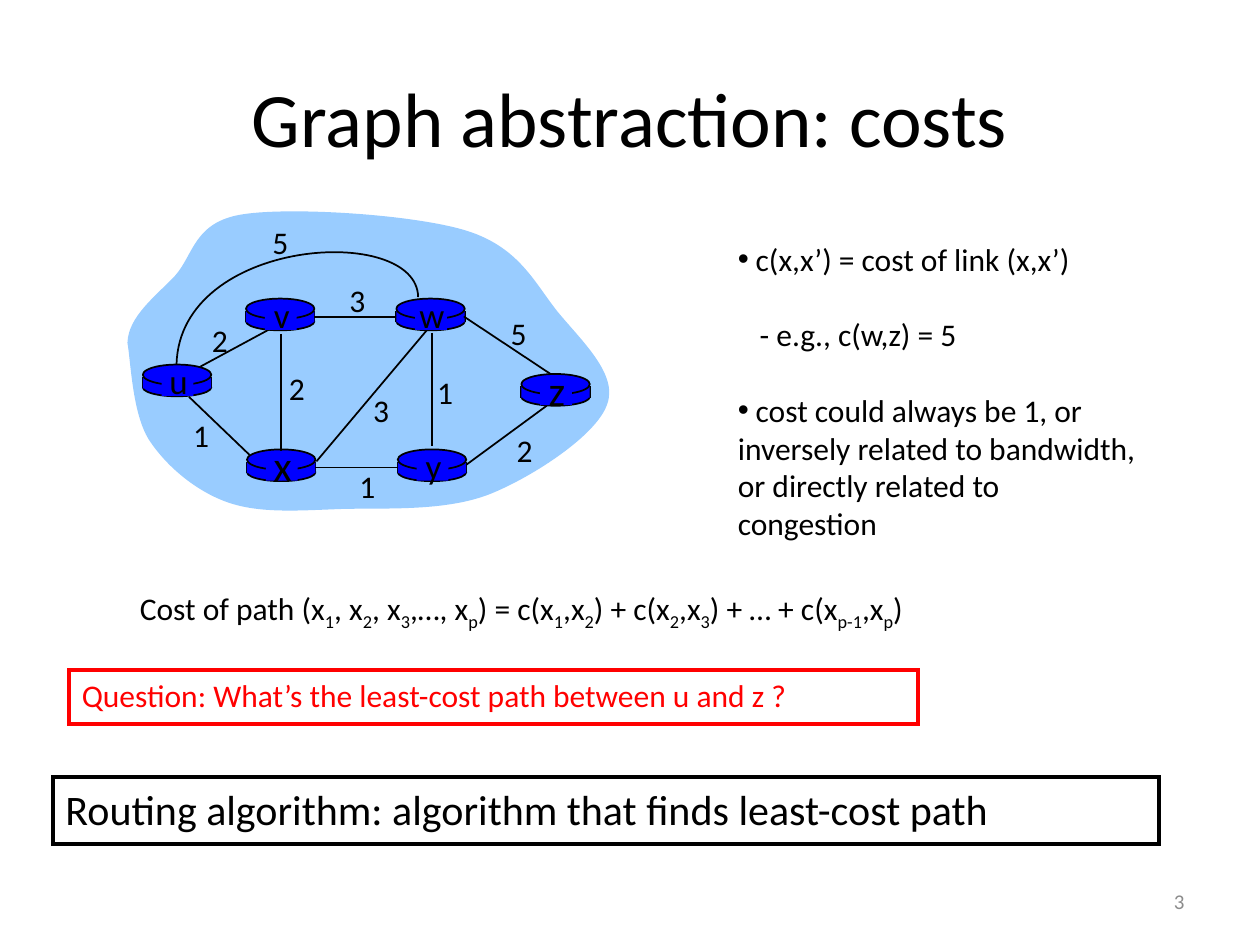
from lxml import etree
from pptx import Presentation
from pptx.dml.color import RGBColor
from pptx.enum.shapes import MSO_CONNECTOR, MSO_SHAPE
from pptx.enum.text import MSO_ANCHOR, MSO_AUTO_SIZE, PP_ALIGN
from pptx.oxml.ns import qn
from pptx.util import Cm, Pt

STRAIGHT = MSO_CONNECTOR.STRAIGHT
RECTANGLE, OVAL = MSO_SHAPE.RECTANGLE, MSO_SHAPE.OVAL
TOP, MIDDLE = MSO_ANCHOR.TOP, MSO_ANCHOR.MIDDLE
LEFT, CENTER, RIGHT = PP_ALIGN.LEFT, PP_ALIGN.CENTER, PP_ALIGN.RIGHT
NO_AUTOFIT = MSO_AUTO_SIZE.NONE
color = RGBColor.from_string
BLACK, BLUE, SKY, RED, GRAY = "000000", "0000FF", "99CCFF", "FF0000", "8C8C8C"


def write(box, text, size=18, ink=BLACK, align=LEFT, anchor=TOP, wrap=True):
    frame = box.text_frame
    frame.auto_size = NO_AUTOFIT
    frame.word_wrap = wrap
    frame.vertical_anchor = anchor
    para = frame.add_paragraph() if frame.text else frame.paragraphs[0]
    para.alignment = align
    for number, piece in enumerate(text.split("|")):
        span = para.add_run()
        span.text = piece
        span.font.name = "Calibri"
        span.font.size = Pt(size)
        span.font.color.rgb = color(ink)
        if number % 2:
            span._r.get_or_add_rPr().set("baseline", "-25000")
    return para


def draw_curve(shapes, points, closed):
    corners = [(Cm(x), Cm(y)) for x, y in points]
    builder = shapes.build_freeform(*corners[0])
    builder.add_line_segments(corners[1:], close=closed)
    curve = builder.convert_to_shape()
    curve.shadow.inherit = False
    segments = list(curve.element.iter(qn("a:lnTo")))
    for start in range(0, len(segments), 3):
        bend = etree.Element(qn("a:cubicBezTo"))
        segments[start].addprevious(bend)
        for segment in segments[start:start + 3]:
            bend.append(segment[0])
            segment.getparent().remove(segment)
    return curve


deck = Presentation()
deck.slide_width, deck.slide_height = Cm(25.4), Cm(19.05)
page = deck.slides.add_slide(deck.slide_layouts[1])

title = page.shapes.title
title.left, title.top, title.width, title.height = Cm(1.27), Cm(0.76), Cm(22.86), Cm(3.18)
write(title, "Graph abstraction: costs", size=44, align=CENTER, anchor=MIDDLE)

graph = page.shapes.add_group_shape().shapes
cloud = draw_curve(graph, [
    (2.57, 6.91), (2.59, 6.38), (3.12, 5.99), (3.53, 5.56),
    (3.91, 5.13), (3.91, 4.47), (4.9, 4.32),
    (5.87, 4.17), (8.33, 4.32), (9.4, 4.65),
    (10.46, 4.98), (10.77, 5.69), (11.23, 6.27),
    (11.71, 6.86), (12.47, 7.54), (12.24, 8.15),
    (12.04, 8.76), (10.77, 9.6), (9.88, 9.96),
    (8.99, 10.31), (7.82, 10.24), (6.93, 10.26),
    (6.07, 10.29), (5.26, 10.36), (4.6, 10.13),
    (3.96, 9.91), (3.35, 9.4), (3, 8.86),
    (2.67, 8.33), (2.64, 7.32), (2.57, 6.91)], True)
cloud.fill.solid()
cloud.fill.fore_color.rgb = color(SKY)
cloud.line.fill.background()

graph.add_connector(STRAIGHT, Cm(4.04), Cm(7.39), Cm(5.54), Cm(6.58))

routers = {"u": (2.88, 7.35, 20), "x": (4.98, 9.06, 24), "v": (4.96, 6.02, 20),
           "w": (7.99, 6.02, 20), "y": (8.02, 9.06, 20), "z": (10.51, 7.54, 24)}
router_width = 1.38
bodies = {}
for name, (left, top, size) in routers.items():
    base = graph.add_shape(OVAL, Cm(left), Cm(top + 0.28), Cm(router_width), Cm(0.36))
    for side in (left, left + router_width):
        graph.add_connector(STRAIGHT, Cm(side), Cm(top + 0.25), Cm(side), Cm(top + 0.48))
    body = graph.add_shape(RECTANGLE, Cm(left), Cm(top + 0.25), Cm(router_width), Cm(0.23))
    lid = graph.add_shape(OVAL, Cm(left), Cm(top), Cm(router_width), Cm(0.41))
    for part in (base, body, lid):
        part.shadow.inherit = False
        part.fill.solid()
        part.fill.fore_color.rgb = color(BLUE)
        part.line.color.rgb = color(BLACK)
        part.line.width = Pt(1)
    body.line.fill.background()
    bodies[name] = body

links = [(8.71, 6.71, 8.71, 8.99), (5.66, 6.73, 5.66, 9.09), (6.38, 9.3, 8.61, 6.65),
         (9.4, 9.37, 11.02, 8.18), (5.03, 9.17, 3.81, 8), (11.1, 7.54, 9.35, 6.38)]
for ends in links:
    graph.add_connector(STRAIGHT, *[Cm(end) for end in ends])
for first, second in ("vw", "xy"):
    link = graph.add_connector(STRAIGHT, 0, 0, 0, 0)
    link.begin_connect(bodies[first], 3)
    link.end_connect(bodies[second], 1)

arc = draw_curve(graph, [(8.43, 5.99), (8.41, 4.5), (3.63, 4.78), (3.56, 7.34)], False)
arc.fill.background()
arc.line.color.rgb = color(BLACK)
arc.line.width = Pt(1)

for link in graph:
    if link.element.tag == qn("p:cxnSp"):
        link.line.color.rgb = color(BLACK)
        link.line.width = Pt(1)
        etree.SubElement(link.element.spPr, qn("a:effectLst"))

for name, (left, top, size) in routers.items():
    patch = graph.add_shape(RECTANGLE, Cm(left + 0.38), Cm(top + 0.05), Cm(0.64), Cm(0.58))
    patch.shadow.inherit = False
    patch.fill.solid()
    patch.fill.fore_color.rgb = color(BLUE)
    patch.line.fill.background()
    height = 1.09 if size == 20 else 1.27
    letter = graph.add_textbox(Cm(left + 0.22), Cm(top + 0.32 - height / 2), Cm(1), Cm(height))
    write(letter, name, size=size, align=CENTER, wrap=False)

costs = [("2", 3.99, 6.35), ("2", 5.54, 7.32), ("1", 3.61, 8.26), ("3", 7.24, 7.75),
         ("1", 6.96, 9.3), ("1", 8.53, 7.39), ("2", 10.13, 8.56), ("5", 10.01, 6.2),
         ("3", 6.76, 5.54), ("5", 5.21, 4.37)]
for cost, left, top in costs:
    label = graph.add_textbox(Cm(left), Cm(top), Cm(0.89), Cm(1.02))
    write(label, cost, align=CENTER, wrap=False)

notes = page.placeholders[1]
notes.left, notes.top, notes.width, notes.height = Cm(14.62), Cm(4.71), Cm(8.8), Cm(6.4)
lines = [("c(x,x’) = cost of link (x,x’)", True, 0.36, 0),
         ("- e.g., c(w,z) = 5", False, 0.44, 21.5),
         ("cost could always be 1, or", True, 0.36, 21.5),
         ("inversely related to bandwidth,", False, 0, 0),
         ("or directly related to", False, 0, 0),
         ("congestion", False, 0, 0)]
for text, bulleted, indent, gap in lines:
    para = write(notes, text)
    para.space_before = Pt(gap)
    layout = para._p.get_or_add_pPr()
    layout.set("marL", str(Cm(indent)))
    layout.set("indent", str(-Cm(indent) if bulleted else 0))
    if bulleted:
        etree.SubElement(layout, qn("a:buChar")).set("char", "•")
    else:
        etree.SubElement(layout, qn("a:buNone"))

formula = page.shapes.add_textbox(Cm(2.57), Cm(11.75), Cm(19.5), Cm(1.02))
write(formula, "Cost of path (x|1|, x|2|, x|3|,…, x|p|) = "
               "c(x|1|,x|2|) + c(x|2|,x|3|) + … + c(x|p-1|,x|p|)")

banners = [("Question: What’s the least-cost path between u and z ?", 18, RED, 1.4, 13.51, 17.11, 1.09),
           ("Routing algorithm: algorithm that finds least-cost path", 24, BLACK, 1.07, 15.67, 22.3, 1.35)]
for text, size, ink, left, top, width, height in banners:
    banner = page.shapes.add_shape(RECTANGLE, Cm(left), Cm(top), Cm(width), Cm(height))
    banner.shadow.inherit = False
    banner.fill.background()
    banner.line.color.rgb = color(ink)
    banner.line.width = Pt(2.25)
    outline = banner.element.spPr.find(qn("a:ln"))
    etree.SubElement(outline, qn("a:miter")).set("lim", "800000")
    write(banner, text, size=size, ink=ink)

page_number = page.shapes.add_textbox(Cm(18.21), Cm(17.65), Cm(5.92), Cm(1.02))
write(page_number, "3", size=12, ink=GRAY, align=RIGHT, anchor=MIDDLE)

deck.save("out.pptx")
